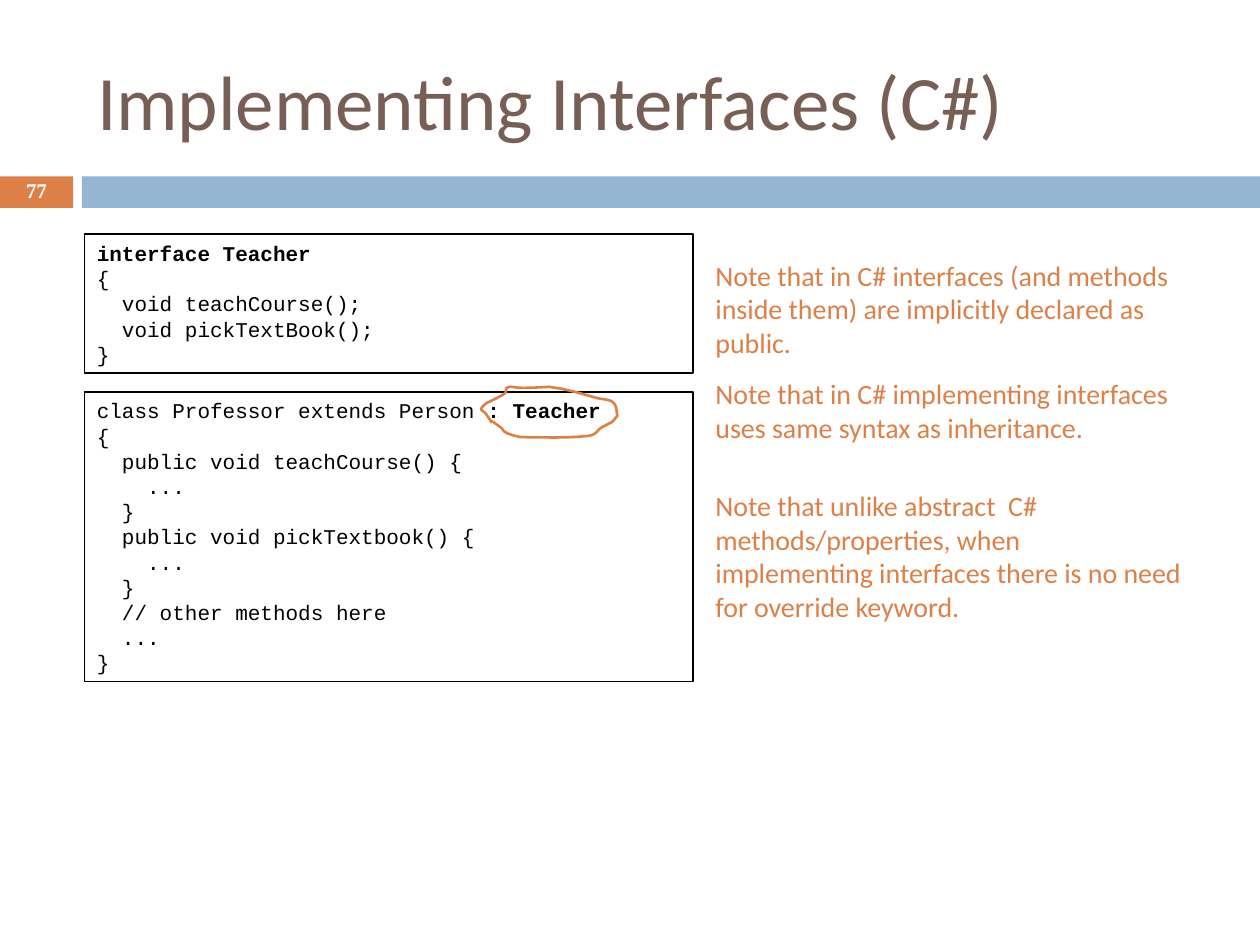
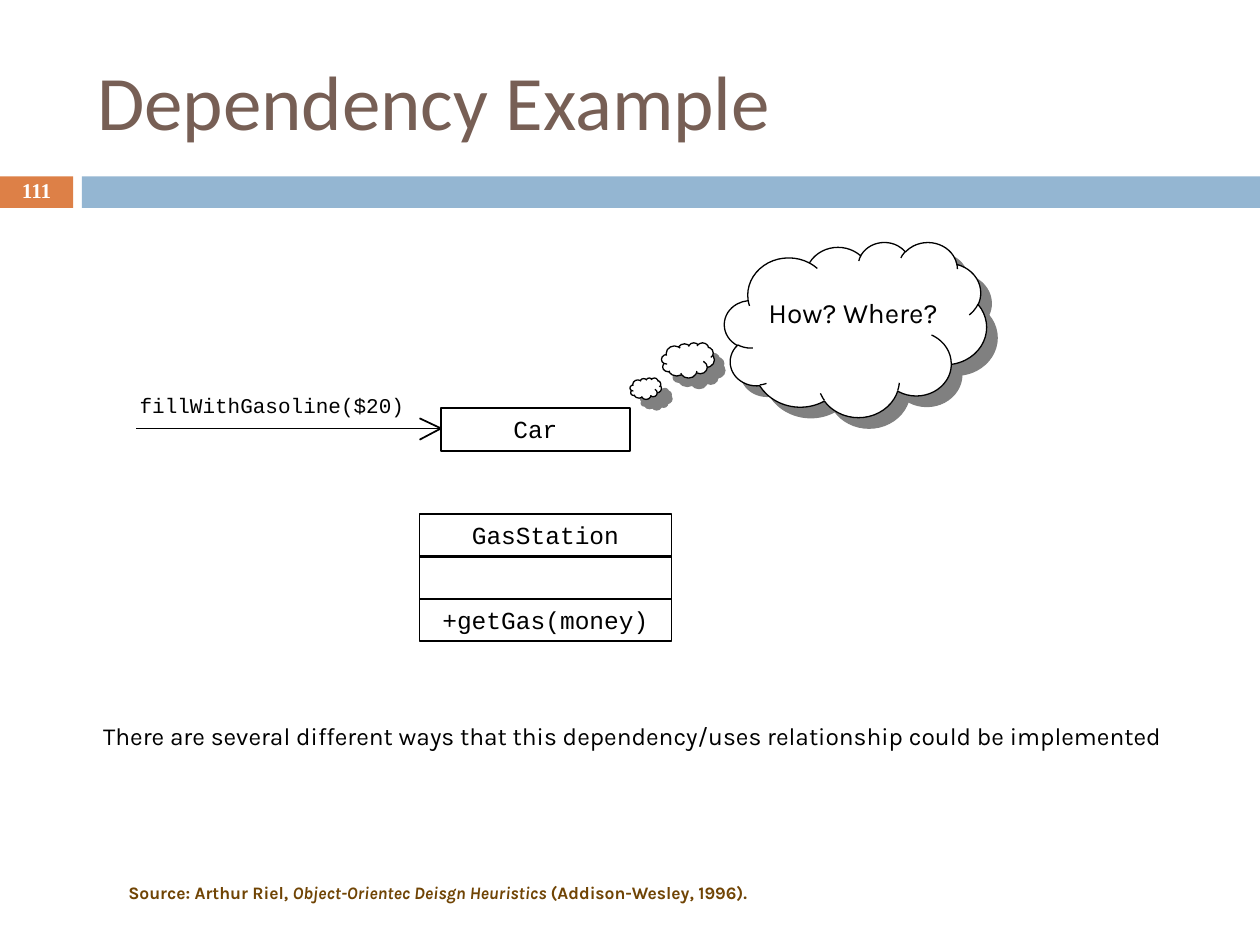
"""Build two slides on implementing interfaces and on a dependency between classes."""
from lxml.etree import SubElement
from pptx import Presentation
from pptx.dml.color import RGBColor
from pptx.enum.shapes import MSO_CONNECTOR, MSO_SHAPE
from pptx.enum.text import MSO_ANCHOR, MSO_AUTO_SIZE, PP_ALIGN
from pptx.oxml.ns import qn
from pptx.util import Inches, Pt

COLOURS = {
    "title": "775F55", "accent": "DD8047", "band": "94B6D2", "white": "FFFFFF",
    "black": "000000", "source": "704404", "shadow": "808080",
}
BODY_FONT, CODE_FONT, NUMBER_FONT, DIAGRAM_FONT = (
    "Calibri", "Courier New", "Times New Roman", "Karla")

INTERFACE_CODE = [
    [("interface Teacher", "b")],
    "{",
    "  void teachCourse();",
    "  void pickTextBook();",
    "}",
]
CLASS_CODE = [
    [("class Professor extends Person ", ""), (": Teacher", "b")],
    "{",
    "  public void teachCourse() {",
    "    ...",
    "  }",
    "  public void pickTextbook() {",
    "    ...",
    "  }",
    "  // other methods here",
    "  ...",
    "}",
]
CODE_BOXES = [(1.86, 1.1, INTERFACE_CODE), (3.11, 2.3, CLASS_CODE)]
NOTES = [
    ((5.58, 2, 3.83, 0.9),
     "Note that in C# interfaces (and methods inside them) are implicitly declared as public."),
    ((5.58, 2.94, 3.9, 0.9),
     "Note that in C# implementing interfaces uses same syntax as inheritance."),
    ((5.58, 3.83, 3.9, 1.17),
     "Note that unlike abstract  C# methods/properties, when implementing interfaces "
     "there is no need for override keyword."),
]
LOOP_START = (4.05, 3.07)
LOOP_CURVES = [
    ((3.99, 3.08), (4.03, 3.1), (4.01, 3.12)),
    ((3.97, 3.15), (3.86, 3.2), (3.86, 3.2)),
    ((3.84, 3.22), (3.82, 3.23), (3.82, 3.25)),
    ((3.82, 3.26), (3.85, 3.27), (3.86, 3.29)),
    ((3.96, 3.43), (3.82, 3.27), (3.97, 3.39)),
    ((3.99, 3.4), (3.99, 3.42), (4.01, 3.43)),
    ((4.04, 3.45), (4.09, 3.46), (4.13, 3.47)),
    ((4.31, 3.47), (4.5, 3.48), (4.67, 3.46)),
    ((4.74, 3.45), (4.74, 3.41), (4.78, 3.39)),
    ((4.89, 3.33), (4.84, 3.37), (4.9, 3.3)),
    ((4.89, 3.26), (4.9, 3.22), (4.86, 3.19)),
    ((4.84, 3.17), (4.78, 3.17), (4.74, 3.16)),
    ((4.7, 3.15), (4.54, 3.1), (4.47, 3.09)),
    ((4.44, 3.08), (4.4, 3.08), (4.36, 3.07)),
    ((4.06, 3.09), (4.11, 3.07), (4.05, 3.07)),
]

CLASS_ROWS = ["GasStation", "", "+getGas(money)"]
ARROW_TIP = (3.5, 3.4)
ARROW_STARTS = [(1.08, 3.4), (3.33, 3.32), (3.33, 3.49)]
CLOUDS = [(5.75, 1.92, 2.08, 1.39), (5, 3, 0.25, 0.17), (5.25, 2.72, 0.42, 0.28)]
SOURCE = [[
    ("Source: Arthur Riel, ", "b"),
    ("Object-Orientec Deisgn Heuristics ", "bi"),
    ("(Addison-Wesley, 1996).", "b"),
]]


def colour(name):
    return RGBColor.from_string(COLOURS[name])


def write(frame, lines, font, size, ink, align=PP_ALIGN.LEFT):
    """Fill a frame with lines, each a string or a list of (text, style) spans."""
    for index, line in enumerate(lines):
        para = frame.add_paragraph() if index else frame.paragraphs[0]
        para.alignment = align
        for text, style in [(line, "")] if isinstance(line, str) else line:
            span = para.add_run()
            span.text = text
            span.font.name, span.font.size = font, Pt(size)
            span.font.bold, span.font.italic = "b" in style, "i" in style
            span.font.color.rgb = colour(ink)


def add_text(page, at, lines, font, size, ink, align=PP_ALIGN.LEFT,
             anchor=MSO_ANCHOR.TOP, wrap=True):
    frame = page.shapes.add_textbox(*map(Inches, at)).text_frame
    frame.word_wrap, frame.vertical_anchor = wrap, anchor
    write(frame, lines, font, size, ink, align)
    return frame


def style_shape(shape, fill=None, line=None, width=1):
    shape.shadow.inherit = False
    if fill:
        shape.fill.solid()
        shape.fill.fore_color.rgb = colour(fill)
    else:
        shape.fill.background()
    if line:
        shape.line.color.rgb = colour(line)
        shape.line.width = Pt(width)
    else:
        shape.line.fill.background()


def add_preset(page, kind, at, fill=None, line=None, width=1):
    shape = page.shapes.add_shape(kind, *map(Inches, at))
    style_shape(shape, fill, line, width)
    return shape


def add_code_box(page, at, lines, size, fill=None, align=PP_ALIGN.LEFT):
    box = add_preset(page, MSO_SHAPE.RECTANGLE, at, fill, "black")
    box.text_frame.word_wrap = True
    box.text_frame.vertical_anchor = MSO_ANCHOR.TOP
    write(box.text_frame, lines, CODE_FONT, size, "black", align)


def add_line(page, start, end):
    line = page.shapes.add_connector(MSO_CONNECTOR.STRAIGHT, *map(Inches, start + end))
    line.line.color.rgb = colour("black")
    line.line.width = Pt(1)
    SubElement(line._element.spPr, qn("a:effectLst"))


def add_cloud(page, at):
    cloud = add_preset(page, MSO_SHAPE.CLOUD, at, "white", "black", 0.75)
    effects = cloud._element.spPr.find(qn("a:effectLst"))
    shadow = SubElement(effects, qn("a:outerShdw"), blurRad="0", dist=str(Pt(8.5)),
                        dir="2700000", algn="ctr", rotWithShape="0")
    SubElement(shadow, qn("a:srgbClr"), val=COLOURS["shadow"])


def curve_points(start, curves, steps=6):
    for first, second, end in curves:
        for step in range(1, steps + 1):
            t = step / steps
            weights = ((1 - t) ** 3, 3 * t * (1 - t) ** 2, 3 * t * t * (1 - t), t ** 3)
            yield tuple(Inches(sum(weight * point[axis] for weight, point
                                   in zip(weights, (start, first, second, end))))
                        for axis in (0, 1))
        start = end


def add_loop(page):
    builder = page.shapes.build_freeform(*map(Inches, LOOP_START))
    builder.add_line_segments(list(curve_points(LOOP_START, LOOP_CURVES)), close=True)
    style_shape(builder.convert_to_shape(), line="accent", width=1.5)


def add_page(deck, title, number):
    page = deck.slides.add_slide(deck.slide_layouts[5])
    for left, width, fill in [(0, 0.58, "accent"), (0.65, 9.35, "band")]:
        add_preset(page, MSO_SHAPE.RECTANGLE, (left, 1.4, width, 0.25), fill)
    heading = page.shapes.title
    heading.left, heading.top, heading.width, heading.height = map(
        Inches, (0.67, 0.25, 8.92, 1.08))
    heading.text_frame.auto_size = MSO_AUTO_SIZE.NONE
    heading.text_frame.vertical_anchor = MSO_ANCHOR.MIDDLE
    write(heading.text_frame, [title], BODY_FONT, 44, "title")
    frame = add_text(page, (0, 1.39, 0.58, 0.27), [[(number, "b")]], NUMBER_FONT, 12,
                     "white", PP_ALIGN.CENTER, MSO_ANCHOR.MIDDLE)
    frame.paragraphs[0].line_spacing = 0.8
    return page


def add_interfaces_page(deck):
    page = add_page(deck, "Implementing Interfaces (C#)", "77")
    for top, height, code in CODE_BOXES:
        add_code_box(page, (0.67, top, 4.83, height), code, 12, "white")
    for at, note in NOTES:
        add_text(page, at, [note], BODY_FONT, 16, "accent")
    add_loop(page)


def add_dependency_page(deck):
    page = add_page(deck, "Dependency Example", "111")
    add_text(page, (0.92, 6.92, 8.42, 0.33), SOURCE, DIAGRAM_FONT, 10, "source",
             anchor=MSO_ANCHOR.MIDDLE)
    add_code_box(page, (3.5, 3.24, 1.5, 0.34), ["Car"], 14, align=PP_ALIGN.CENTER)
    for row, label in enumerate(CLASS_ROWS):
        add_code_box(page, (3.33, 4.08 + row * 0.335, 2, 0.34), [label] if label else [],
                     14, align=PP_ALIGN.CENTER)
    for start in ARROW_STARTS:
        add_line(page, start, ARROW_TIP)
    add_text(page, (1.01, 3.07, 2.3, 0.3), ["fillWithGasoline($20)"], CODE_FONT, 12,
             "black", wrap=False)
    for at in CLOUDS:
        add_cloud(page, at)
    add_text(page, (6, 2.3, 1.75, 0.37), ["How? Where?"], DIAGRAM_FONT, 16, "black")
    add_text(page, (0.72, 5.67, 8.86, 0.34),
             ["There are several different ways that this dependency/uses relationship "
              "could be implemented"], DIAGRAM_FONT, 14, "black", wrap=False)


def main():
    deck = Presentation()
    deck.slide_width, deck.slide_height = Inches(10), Inches(7.5)
    add_interfaces_page(deck)
    add_dependency_page(deck)
    deck.save("out.pptx")


if __name__ == "__main__":
    main()
